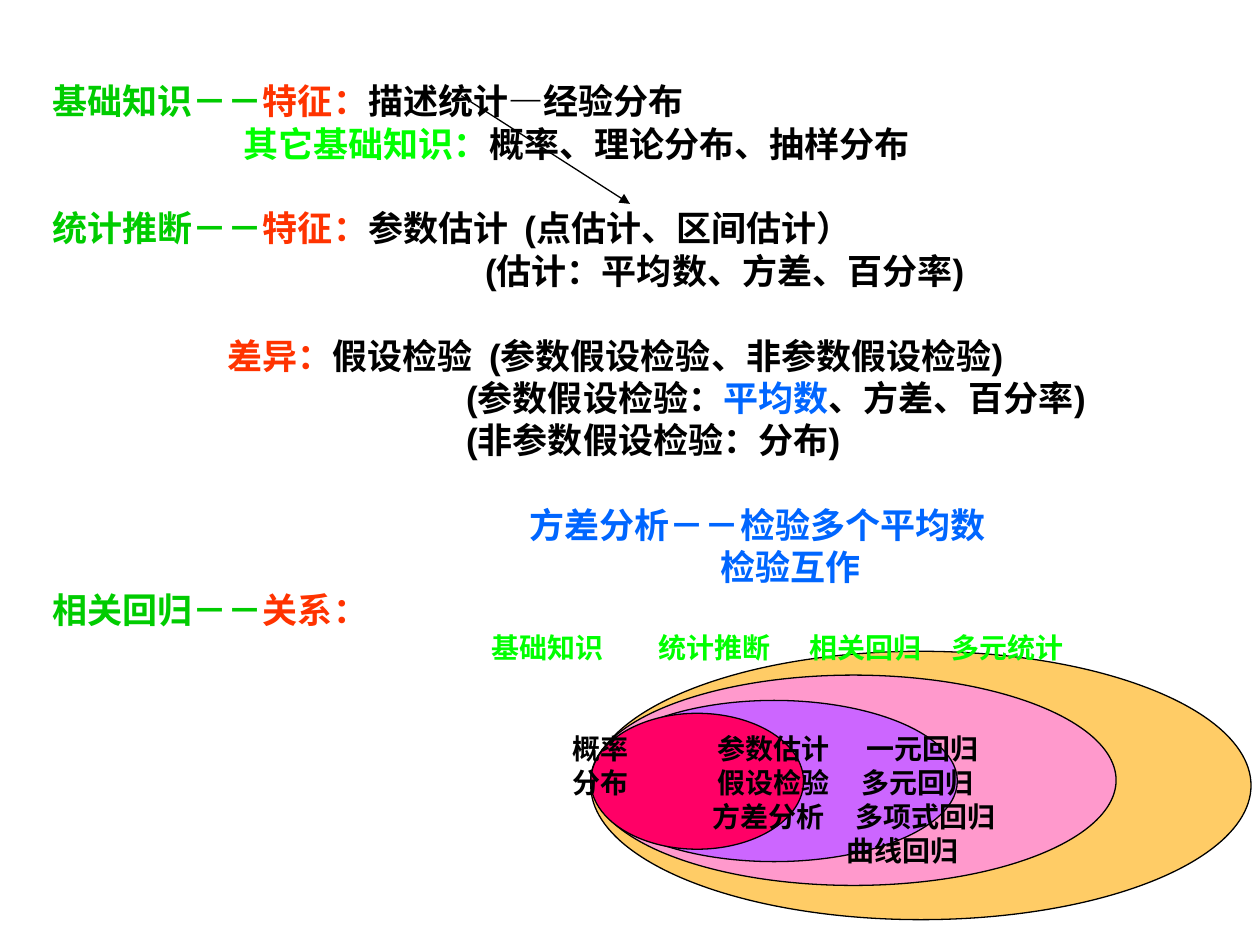
import pptx
import pptx.dml.color
import pptx.enum.shapes
import pptx.oxml
import pptx.oxml.ns
import pptx.util

Cm = pptx.util.Cm
Pt = pptx.util.Pt
RGBColor = pptx.dml.color.RGBColor

BLACK = RGBColor(0x00, 0x00, 0x00)
GREEN = RGBColor(0x00, 0xCC, 0x00)
LIME = RGBColor(0x00, 0xFF, 0x00)
RED = RGBColor(0xFF, 0x33, 0x00)
BLUE = RGBColor(0x00, 0x66, 0xFF)
AMBER = RGBColor(0xFF, 0xCC, 0x66)
PINK = RGBColor(0xFF, 0x99, 0xCC)
VIOLET = RGBColor(0xCC, 0x66, 0xFF)
ROSE = RGBColor(0xFF, 0x00, 0x66)

RINGS = [
    (13.13, 13.31, 5.41, AMBER),
    (13.61, 10.59, 4.24, PINK),
    (14.12, 7.39, 3.25, VIOLET),
    (14.38, 4.29, 2.74, ROSE),
]

TOPICS = [
    (0.48, 0, [("基础知识－－", GREEN), ("特征：", RED), ("描述统计—经验分布", BLACK)]),
    (4.33, 5, [("其它基础知识：", LIME), ("概率、理论分布、抽样分布", BLACK)]),
    (0.48, 29.2, [("统计推断－－", GREEN), ("特征：", RED),
                  ("参数估计  (点估计、区间估计）", BLACK)]),
    (9.2, 5, [("(估计：平均数、方差、百分率)", BLACK)]),
    (4.01, 29.2, [("差异：", RED), ("假设检验  (参数假设检验、非参数假设检验)", BLACK)]),
    (8.82, 5, [("(参数假设检验：", BLACK), ("平均数", BLUE), ("、方差、百分率)", BLACK)]),
    (8.82, 5, [("(非参数假设检验：分布)", BLACK)]),
    (10.1, 29.2, [("方差分析－－检验多个平均数", BLUE)]),
    (13.94, 5, [("检验互作", BLUE)]),
    (0.48, 5, [("相关回归－－", GREEN), ("关系：", RED)]),
]

HEADS = [(9.66, "基础知识"), (13.03, "统计推断"), (16.07, "相关回归"), (18.94, "多元统计")]

LISTS = [
    (11.3, [(0, "概率"), (0, "分布")]),
    (14.12, [(0.1, "参数估计"), (0.1, "假设检验"), (0, "方差分析")]),
    (16.82, [(0.4, "一元回归"), (0.3, "多元回归"), (0.18, "多项式回归"), (0, "曲线回归")]),
]


class Board:
    font = "Arial"
    line = Pt(0.75)
    space = 0.8

    def __init__(self, deck):
        self.slide = deck.slides.add_slide(deck.slide_layouts[6])

    def ring(self, left, top, width, height, fill):
        kind = pptx.enum.shapes.MSO_SHAPE.OVAL
        oval = self.slide.shapes.add_shape(kind, Cm(left), Cm(top), Cm(width), Cm(height))
        oval.shadow.inherit = False
        oval.fill.solid()
        oval.fill.fore_color.rgb = fill
        oval.line.color.rgb = BLACK
        oval.line.width = self.line

    def arrow(self, *ends):
        kind = pptx.enum.shapes.MSO_CONNECTOR.STRAIGHT
        link = self.slide.shapes.add_connector(kind, *map(Cm, ends))
        link.line.color.rgb = BLACK
        link.line.width = self.line
        tip = pptx.oxml.parse_xml(f'<a:tailEnd {pptx.oxml.ns.nsdecls("a")} type="triangle"/>')
        link.line._get_or_add_ln().append(tip)
        none = pptx.oxml.parse_xml(f'<a:effectLst {pptx.oxml.ns.nsdecls("a")}/>')
        link._element.spPr.append(none)

    def text(self, left, top, width, height, size, rows):
        shape = self.slide.shapes.add_textbox(Cm(left), Cm(top), Cm(width), Cm(height))
        frame = shape.text_frame
        frame.word_wrap = True
        for rank, (inset, gap, parts) in enumerate(rows):
            para = frame.add_paragraph() if rank else frame.paragraphs[0]
            para.line_spacing = self.space
            if rank:
                para.space_before = Pt(gap)
            props = para._p.get_or_add_pPr()
            props.set("marL", str(Cm(inset)))
            props.set("indent", "0")
            for words, color in parts:
                run = para.add_run()
                run.text = words
                run.font.name = self.font
                run.font.size = Pt(size)
                run.font.bold = True
                run.font.color.rgb = color


def main():
    deck = pptx.Presentation()
    deck.slide_width = Cm(25.4)
    deck.slide_height = Cm(19.05)
    board = Board(deck)
    for top, width, height, fill in RINGS:
        board.ring(11.91, top, width, height, fill)
    board.arrow(9.3, 1.93, 12.7, 4.11)
    board.text(0.33, 1.65, 24.84, 11.05, 20, TOPICS)
    for left, words in HEADS:
        board.text(left, 12.72, 3, 0.8, 16, [(0, 0, [(words, LIME)])])
    for left, items in LISTS:
        rows = [(inset, 4, [(words, BLACK)]) for inset, words in items]
        board.text(left, 14.76, 4, 0.7 * len(items) + 0.1, 16, rows)
    deck.save("out.pptx")


if __name__ == "__main__":
    main()
